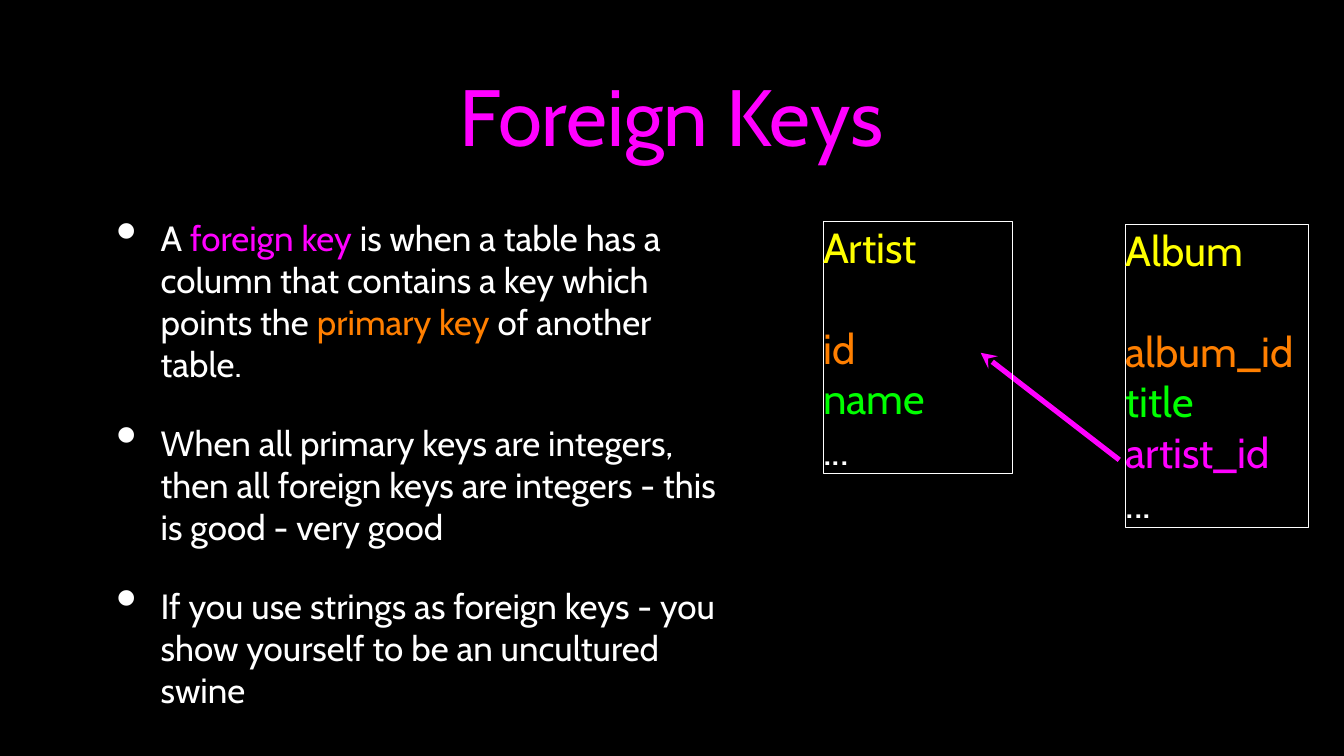
import pptx
import pptx.util
import pptx.dml.color
import pptx.enum.text
import pptx.enum.shapes
import pptx.oxml.ns
import lxml.etree

Pt = pptx.util.Pt
qn = pptx.oxml.ns.qn
Anchor = pptx.enum.text.MSO_ANCHOR
Align = pptx.enum.text.PP_ALIGN
AutoSize = pptx.enum.text.MSO_AUTO_SIZE

FONT = "Cabin"
WHITE, MAGENTA, ORANGE = "FFFFFF", "FF00FF", "FF7F00"
YELLOW, GREEN = "FFFF00", "00FF00"


def color(value):
    return pptx.dml.color.RGBColor.from_string(value)


def set_frame(frame, inset):
    frame.word_wrap = True
    frame.auto_size = AutoSize.NONE
    frame.vertical_anchor = Anchor.MIDDLE
    frame.margin_left = frame.margin_right = Pt(inset)
    frame.margin_top = frame.margin_bottom = Pt(inset)


deck = pptx.Presentation()
deck.slide_width, deck.slide_height = Pt(1280), Pt(720)
page = deck.slides.add_slide(deck.slide_layouts[5])
page.background.fill.solid()
page.background.fill.fore_color.rgb = color("000000")

# Title
title = page.shapes.title
title.left, title.top, title.width, title.height = Pt(91), Pt(19), Pt(1097), Pt(181)
set_frame(title.text_frame, 3)
title.text_frame.text = "Foreign Keys"
para = title.text_frame.paragraphs[0]
para.alignment = Align.CENTER
para.font.name, para.font.size = FONT, Pt(76)
para.font.color.rgb = color(MAGENTA)

# Bulleted text
bullets = [
    [("A", WHITE), (" foreign key", MAGENTA),
     (" is when a table has a column that contains a key which points the ", WHITE),
     ("primary key", ORANGE), (" of another table.", WHITE)],
    [("When all primary keys are integers, then all foreign keys are integers"
      " - this is good - very good", WHITE)],
    [("If you use strings as foreign keys - you show yourself to be"
      " an uncultured swine", WHITE)],
]
body = page.shapes.add_textbox(Pt(91), Pt(193), Pt(601), Pt(497)).text_frame
set_frame(body, 3)
for index, spans in enumerate(bullets):
    para = body.add_paragraph() if index else body.paragraphs[0]
    if index:
        para.space_before = Pt(35)
    props = para._p.get_or_add_pPr()
    props.set("marL", str(Pt(59)))
    props.set("indent", str(Pt(-42)))
    bullet_color = lxml.etree.SubElement(props, qn("a:buClr"))
    lxml.etree.SubElement(bullet_color, qn("a:srgbClr"), val=WHITE)
    lxml.etree.SubElement(props, qn("a:buSzPct"), val="171000")
    lxml.etree.SubElement(props, qn("a:buChar"), char="•")
    para.font.name, para.font.size = FONT, Pt(33.3)
    for text, tint in spans:
        span = para.add_run()
        span.text = text
        span.font.color.rgb = color(tint)

# Arrow from the foreign key to the primary key
arrow = page.shapes.add_connector(
    pptx.enum.shapes.MSO_CONNECTOR.STRAIGHT, Pt(934), Pt(336), Pt(1066), Pt(438))
arrow.line.color.rgb = color(MAGENTA)
arrow.line.width = Pt(5)
lxml.etree.SubElement(arrow.line._get_or_add_ln(), qn("a:headEnd"), type="stealth")
lxml.etree.SubElement(arrow._element.spPr, qn("a:effectLst"))

# Database tables: place, then name and columns
tables = [
    ((1072, 214, 174, 288),
     [("Album", YELLOW), ("album_id", ORANGE), ("title", GREEN),
      ("artist_id", MAGENTA), ("...", WHITE)]),
    ((784, 211, 180, 240),
     [("Artist", YELLOW), ("id", ORANGE), ("name", GREEN), ("...", WHITE)]),
]
for place, rows in tables:
    box = page.shapes.add_shape(
        pptx.enum.shapes.MSO_SHAPE.RECTANGLE, *[Pt(length) for length in place])
    box.shadow.inherit = False
    box.fill.background()
    box.line.color.rgb = color(WHITE)
    box.line.width = Pt(1)
    set_frame(box.text_frame, 0)
    for index, (text, tint) in enumerate(rows):
        para = box.text_frame.add_paragraph() if index else box.text_frame.paragraphs[0]
        para.text = text
        para.alignment = Align.LEFT
        para.font.name, para.font.size = FONT, Pt(40)
        para.font.color.rgb = color(tint)
    # One line of space between the table name and its columns
    box.text_frame.paragraphs[0].space_after = Pt(48)

deck.save("out.pptx")
